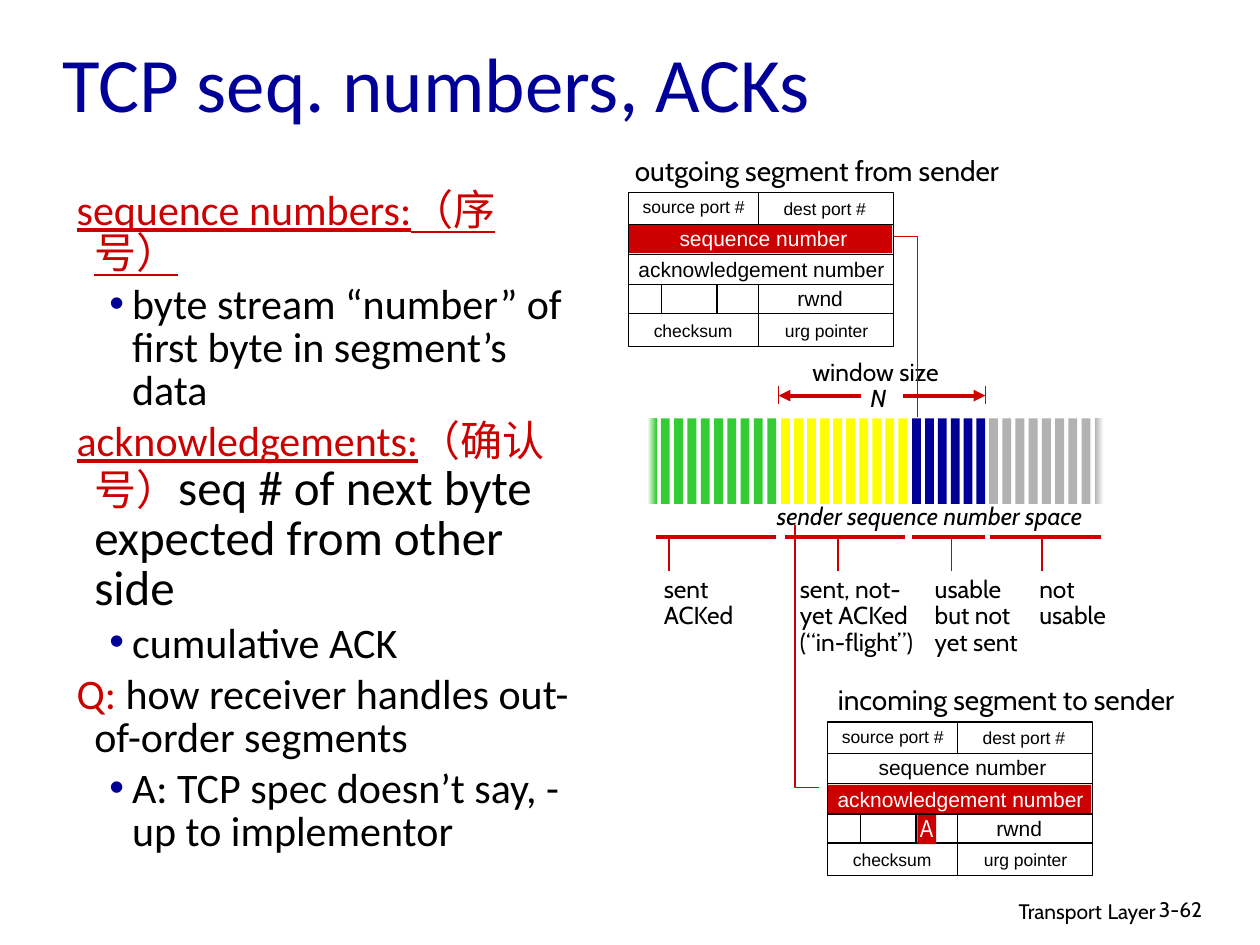
"""Build the slide on TCP sequence numbers and ACKs."""
from lxml import etree
from pptx import Presentation
from pptx import util as u
from pptx.dml.color import RGBColor
from pptx.enum import shapes, text
from pptx.oxml import ns

BLACK = RGBColor(0x00, 0x00, 0x00)
WHITE = RGBColor(0xFF, 0xFF, 0xFF)
RED = RGBColor(0xCC, 0x00, 0x00)
NAVY = RGBColor(0x00, 0x00, 0x99)
GREEN = RGBColor(0x33, 0xCC, 0x33)
YELLOW = RGBColor(0xFF, 0xFF, 0x00)
GREY = RGBColor(0xB2, 0xB2, 0xB2)
MID = text.PP_ALIGN.CENTER
RIGHT = text.PP_ALIGN.RIGHT


class Deck:
    def __init__(self, slide):
        self.slide = slide
        self.base = {"name": "Cabin", "size": 14, "color": BLACK}

    def style(self, font, fmt):
        for key, val in fmt.items():
            if key == "color":
                font.color.rgb = val
            else:
                setattr(font, key, u.Pt(val) if key == "size" else val)

    def text(self, box, paras, para=None, wrap=True, anchor=None, **fmt):
        shape = self.slide.shapes.add_textbox(*map(u.Inches, box))
        frame = shape.text_frame
        frame.word_wrap = wrap
        if not wrap:
            frame.auto_size = text.MSO_AUTO_SIZE.SHAPE_TO_FIT_TEXT
        if anchor is not None:
            frame.vertical_anchor = anchor
        for i, runs in enumerate(paras):
            par = frame.paragraphs[0] if i == 0 else frame.add_paragraph()
            for key, val in (para or {}).items():
                setattr(par, key, val)
            for words, extra in [(runs, {})] if isinstance(runs, str) else runs:
                run = par.add_run()
                run.text = words
                self.style(run.font, {**self.base, **fmt, **extra})
        return frame

    def indent(self, par, left, first, mark=None):
        props = par._p.get_or_add_pPr()
        props.set("marL", str(u.Inches(left)))
        props.set("indent", str(u.Inches(first)))
        if mark:
            tint = etree.SubElement(props, ns.qn("a:buClr"))
            etree.SubElement(tint, ns.qn("a:srgbClr")).set("val", str(NAVY))
            etree.SubElement(props, ns.qn("a:buFont")).set("typeface", "Arial")
            etree.SubElement(props, ns.qn("a:buChar")).set("char", mark)

    def rect(self, box, fill=None, edge=None, fade=None):
        shape = self.slide.shapes.add_shape(
            shapes.MSO_SHAPE.RECTANGLE, *map(u.Inches, box))
        shape.shadow.inherit = False
        if fade:
            shape.fill.gradient()
            shape.fill.gradient_angle = 0
            for stop, tint in zip(shape.fill.gradient_stops, fade):
                stop.color.rgb = tint
        elif fill is not None:
            shape.fill.solid()
            shape.fill.fore_color.rgb = fill
        else:
            shape.fill.background()
        if edge is None:
            shape.line.fill.background()
        else:
            shape.line.color.rgb = edge
            shape.line.width = u.Pt(0.75)

    def line(self, x1, y1, x2, y2, color=RED, width=0.75, head=False):
        link = self.slide.shapes.add_connector(
            shapes.MSO_CONNECTOR.STRAIGHT, *map(u.Inches, (x1, y1, x2, y2)))
        link.line.color.rgb = color
        link.line.width = u.Pt(width)
        if head:
            tip = etree.SubElement(link.get_or_add_ln(), ns.qn("a:tailEnd"))
            tip.set("type", "triangle")
        etree.SubElement(link._element.spPr, ns.qn("a:effectLst"))

    def elbow(self, *points):
        start, *rest = [(u.Inches(x), u.Inches(y)) for x, y in points]
        build = self.slide.shapes.build_freeform(*start)
        build.add_line_segments(rest, close=False)
        shape = build.convert_to_shape()
        shape.shadow.inherit = False
        shape.fill.background()
        shape.line.color.rgb = RED
        shape.line.width = u.Pt(0.75)

    def segment(self, x, y, hot):
        self.rect((x, y + (0.25 if hot == "sequence number" else 0.5), 2.09, 0.23), RED)
        self.rect((x, y, 2.1, 1.22), edge=BLACK)
        for words, dx, dy, wide, size in (
                ("source port #", 0.01, -0.02, 1.01, 10),
                ("dest port #", 1.11, -0.01, 0.89, 10),
                ("sequence number", 0.28, 0.21, 1.58, 12),
                ("acknowledgement number", -0.03, 0.46, 2.17, 12),
                ("rwnd", 1.24, 0.69, 0.56, 12),
                ("checksum", 0.1, 0.96, 0.82, 10),
                ("urg pointer", 1.14, 0.96, 0.86, 10)):
            self.text((x + dx, y + dy, wide, 0.3 if size == 12 else 0.27), [words],
                      {"alignment": MID}, wrap=wide > 1.5, name="Arial", size=size,
                      color=WHITE if words == hot else BLACK)
        for dy in (0.25, 0.49, 0.73, 0.96):
            self.line(x, y + dy, x + 2.1, y + dy, BLACK)
        for dx, top, low in ((1.03, 0, 0.25), (1.03, 0.73, 1.22),
                             (0.7, 0.73, 0.96), (0.26, 0.73, 0.96)):
            self.line(x + dx, y + top, x + dx, y + low, BLACK)

    def bars(self, first, last, count, color):
        for i in range(count):
            left = first + i * (last - first) / (count - 1)
            fade = None
            if color == GREEN and i == 0:
                fade = (WHITE, GREEN)
            elif color == GREY and i == count - 1:
                fade = (GREY, WHITE)
            self.rect((left, 3.32, 0.07, 0.68), color, fade=fade)


def main():
    show = Presentation()
    show.slide_width, show.slide_height = u.Inches(10), u.Inches(7.5)
    deck = Deck(show.slides.add_slide(show.slide_layouts[6]))

    deck.text((6.1, 7.05, 3.17, 0.31),
              [[("Transport", {}), (" ", {"size": 14}), ("Layer", {})]],
              {"alignment": RIGHT}, size=12)
    deck.text((9.1, 7.07, 0.74, 0.3), ["3-62"], size=12)
    deck.text((0.4, 0.16, 8.5, 0.97), ["TCP seq. numbers, ACKs"],
              anchor=text.MSO_ANCHOR.MIDDLE, name="Calibri", size=44, color=NAVY)

    term = {"color": RED, "underline": True}
    notes = [
        [("sequence numbers:（序号）", term)],
        "byte stream “number” of first byte in segment’s data",
        [("acknowledgements:", term), ("（确认号）", {"color": RED}),
         ("seq # of next byte expected from other side", {"size": 28})],
        "cumulative ACK",
        [("Q:", {"color": RED}), (" how receiver handles out-of-order segments", {})],
        "A: TCP spec doesn’t say, - up to implementor",
    ]
    body = deck.text((0.39, 1.47, 4.3, 5.08), notes,
                     {"line_spacing": 0.85, "space_before": u.Pt(4.8)},
                     name="Calibri", size=24)
    for par, note in zip(body.paragraphs, notes):
        if isinstance(note, str):
            par.level = 1
            deck.indent(par, 0.56, -0.18, "•")
        else:
            deck.indent(par, 0.26, -0.14)

    deck.segment(6.57, 5.73, "acknowledgement number")
    deck.text((6.49, 5.37, 2.99, 0.37), ["incoming segment to sender"],
              {"alignment": MID}, wrap=False, size=16)
    deck.elbow((6.5, 6.25), (6.31, 6.25), (6.31, 4.17))
    deck.rect((7.28, 6.47, 0.15, 0.23), RED)
    deck.text((7.16, 6.4, 0.39, 0.33), ["A"], {"alignment": MID},
              name="Arial Narrow", color=WHITE)

    for group in ((5.14, 6.09, 10, GREEN), (6.2, 7.13, 10, YELLOW),
                  (7.24, 7.75, 6, NAVY), (7.85, 8.69, 9, GREY)):
        deck.bars(*group)

    tight = {"line_spacing": 0.9}
    for left, right, tick, x, wide, tall, words in (
            (5.21, 6.16, 5.31, 5.17, 0.76, 0.52, ["sent", "ACKed"]),
            (6.23, 7.18, 6.65, 6.25, 1.17, 0.73, ["sent, not-yet ACKed", "(“in-flight”)"]),
            (7.24, 7.82, 7.55, 7.32, 1.17, 0.73, ["usable", "but not", "yet sent"]),
            (7.86, 8.74, 8.27, 8.15, 0.9, 0.52, ["not", "usable"])):
        deck.line(left, 4.26, right, 4.26, width=2.25)
        deck.line(tick, 4.28, tick, 4.53)
        deck.text((x, 4.53, wide, tall), words, tight)

    deck.text((6.33, 2.81, 1.24, 0.52), ["window size", [(" N", {"italic": True})]],
              {"alignment": MID, **tight}, wrap=False)
    for start, end in ((7.17, 7.82), (6.83, 6.18)):
        deck.line(start, 3.14, end, 3.14, width=2.25, head=True)
        deck.line(end, 3.06, end, 3.21)
    space = deck.text((5.41, 3.93, 3.48, 0.33), ["sender sequence number space "],
                      {"alignment": MID, "level": 1}, wrap=False, italic=True)
    deck.indent(space.paragraphs[0], 0.5, 0)

    deck.segment(4.99, 1.53, "sequence number")
    deck.text((4.87, 1.17, 3.23, 0.37), ["outgoing segment from sender"],
              {"alignment": MID}, wrap=False, size=16)
    deck.elbow((7.09, 1.88), (7.28, 1.88), (7.28, 3.31))
    show.save("out.pptx")


if __name__ == "__main__":
    main()
